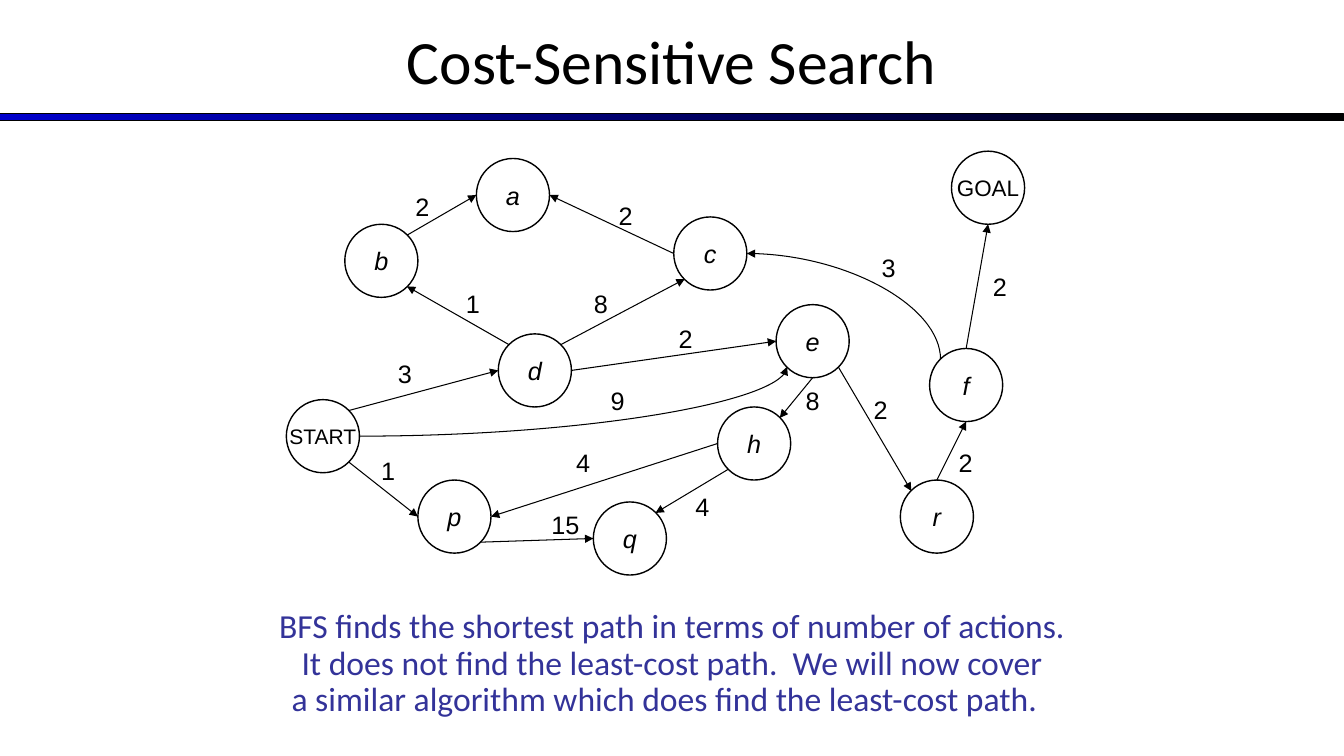
from lxml import etree
from pptx import Presentation
from pptx.dml.color import RGBColor
from pptx.enum.shapes import MSO_CONNECTOR, MSO_SHAPE
from pptx.enum.text import MSO_ANCHOR, PP_ALIGN
from pptx.oxml.ns import qn
from pptx.util import Inches, Pt

STRAIGHT, CURVE = MSO_CONNECTOR.STRAIGHT, MSO_CONNECTOR.CURVE
CIRCLE, RECTANGLE = MSO_SHAPE.FLOWCHART_CONNECTOR, MSO_SHAPE.RECTANGLE
CENTER, LEFT = PP_ALIGN.CENTER, PP_ALIGN.LEFT
MIDDLE, TOP = MSO_ANCHOR.MIDDLE, MSO_ANCHOR.TOP

WIDTH, HEIGHT = 13.33, 7.5
BLACK, BLUE, INDIGO = "000000", "0000CC", "333399"

# The graph lies on a square grid; a node is ten cells wide.
CELL = 0.0725
NODE = 10
GRAPH_LEFT, GRAPH_TOP = 2.84, 1.5

# name: (column, row, text size)
NODES = {
    "START": (0, 34, 15), "GOAL": (91, 0, 16),
    "a": (26, 1, 18), "b": (8, 10, 18), "c": (53, 9, 18), "d": (29, 25, 18),
    "e": (67, 21, 18), "f": (88, 27, 18), "h": (59, 35, 18),
    "p": (18, 45, 18), "q": (42, 48, 18), "r": (84, 45, 18),
}

# Connection sites in preset order, as shares of the node's box
SITES = {
    "top": (0.5, 0), "top left": (0.15, 0.15), "left": (0, 0.5),
    "bottom left": (0.15, 0.85), "bottom": (0.5, 1),
    "bottom right": (0.85, 0.85), "right": (1, 0.5), "top right": (0.85, 0.15),
}
SITE_NAMES = list(SITES)

# from, site, to, site, cost, column and row of the cost
STRAIGHT_EDGES = [
    ("START", "bottom right", "p", "left", "1", 11.6, 41),
    ("START", "top right", "d", "left", "3", 13.9, 27.7),
    ("p", "bottom right", "q", "left", "15", 34.9, 48.3),
    ("h", "bottom left", "q", "top right", "4", 54.6, 45.8),
    ("h", "left", "p", "right", "4", 38.3, 39.9),
    ("e", "bottom", "h", "top right", "8", 69.7, 31.3),
    ("e", "bottom right", "r", "top left", "2", 79, 32.6),
    ("r", "top", "f", "bottom", "2", 90.6, 39.9),
    ("f", "top", "GOAL", "bottom", "2", 95.3, 15.7),
    ("d", "top left", "b", "bottom right", "1", 23.2, 18.1),
    ("d", "top right", "c", "bottom left", "8", 40.7, 18.1),
    ("d", "right", "e", "left", "2", 52.3, 22.9),
    ("b", "top right", "a", "left", "2", 16.3, 4.8),
    ("c", "left", "a", "right", "2", 44.1, 6.1),
]
# The same, then the end that bears the arrowhead
CURVED_EDGES = [
    ("START", "right", "e", "bottom left", "9", 43, 31.3, "tailEnd"),
    ("c", "right", "f", "top left", "3", 80.1, 13.2, "headEnd"),
]
SUMMARY = [
    "BFS finds the shortest path in terms of number of actions.",
    "It does not find the least-cost path.  We will now cover",
    "a similar algorithm which does find the least-cost path.  ",
]


def color(value):
    return RGBColor.from_string(value)


def write(shape, lines, size, font="Arial", ink=BLACK, align=CENTER,
          anchor=MIDDLE, italic=False, wrap=True, spacing=1.0):
    frame = shape.text_frame
    frame.word_wrap = wrap
    frame.vertical_anchor = anchor
    for index, line in enumerate(lines):
        para = frame.add_paragraph() if index else frame.paragraphs[0]
        para.alignment = align
        para.line_spacing = spacing
        span = para.add_run()
        span.text = line
        span.font.name = font
        span.font.size = Pt(size)
        span.font.italic = italic
        span.font.color.rgb = color(ink)


def add_title(page, left, top, width, height):
    title = page.shapes.title
    title.left, title.top = Inches(left), Inches(top)
    title.width, title.height = Inches(width), Inches(height)
    write(title, ["Cost-Sensitive Search"], 44, "Calibri")


def add_rule(page, left, top, width, height):
    """Draw the gradient bar below the title."""
    bar = page.shapes.add_shape(RECTANGLE, Inches(left), Inches(top),
                                Inches(width), Inches(height))
    bar.shadow.inherit = False
    bar.fill.gradient()
    bar.fill.gradient_angle = 0
    for stop, value, place in zip(bar.fill.gradient_stops, (BLUE, BLACK), (0, 1)):
        stop.color.rgb = color(value)
        stop.position = place
    bar.line.color.rgb = color(BLACK)
    bar.line.width = Pt(0.75)


def add_summary(page, left, top, width, height):
    box = page.shapes.add_textbox(Inches(left), Inches(top),
                                  Inches(width), Inches(height))
    write(box, SUMMARY, 24, "Calibri", INDIGO, anchor=TOP, spacing=0.9)


def add_node(page, name, left, top):
    column, row, size = NODES[name]
    node = page.shapes.add_shape(
        CIRCLE, Inches(left + column * CELL), Inches(top + row * CELL),
        Inches(NODE * CELL), Inches(NODE * CELL))
    node.shadow.inherit = False
    node.fill.background()
    node.line.color.rgb = color(BLACK)
    node.line.width = Pt(1)
    write(node, [name], size, italic=len(name) == 1, wrap=False)
    return node


def site_point(node, site):
    across, down = SITES[site]
    return (round(node.left + across * node.width),
            round(node.top + down * node.height))


def add_edge(page, start, start_site, end, end_site, kind, arrow):
    edge = page.shapes.add_connector(
        kind, *site_point(start, start_site), *site_point(end, end_site))
    edge.line.color.rgb = color(BLACK)
    edge.line.width = Pt(0.75)
    etree.SubElement(edge.line._get_or_add_ln(), qn("a:" + arrow), type="triangle")
    properties = edge._element.spPr
    etree.SubElement(properties, qn("a:effectLst"))
    if kind == CURVE:
        properties.find(qn("a:prstGeom")).set("prst", "curvedConnector2")
    glue = edge._element.find(".//" + qn("p:cNvCxnSpPr"))
    for tag, node, site in (("a:stCxn", start, start_site),
                            ("a:endCxn", end, end_site)):
        etree.SubElement(glue, qn(tag), id=str(node.shape_id),
                         idx=str(SITE_NAMES.index(site)))


def add_cost(page, cost, left, top):
    width = 0.17 * (len(cost) + 1)
    box = page.shapes.add_textbox(Inches(left), Inches(top),
                                  Inches(width), Inches(0.4))
    write(box, [cost], 18, align=LEFT, anchor=TOP)


def add_graph(page, left, top):
    nodes = {name: add_node(page, name, left, top) for name in NODES}
    edges = [(*edge, "tailEnd", STRAIGHT) for edge in STRAIGHT_EDGES]
    edges += [(*edge, CURVE) for edge in CURVED_EDGES]
    for start, start_site, end, end_site, cost, column, row, arrow, kind in edges:
        add_edge(page, nodes[start], start_site, nodes[end], end_site, kind, arrow)
        add_cost(page, cost, left + column * CELL, top + row * CELL)


def main():
    deck = Presentation()
    deck.slide_width, deck.slide_height = Inches(WIDTH), Inches(HEIGHT)
    page = deck.slides.add_slide(deck.slide_layouts[5])
    add_rule(page, 0, 1.13, WIDTH, 0.07)
    add_title(page, 0, -0.03, WIDTH, 1.25)
    add_summary(page, 0, 0.8 * HEIGHT, WIDTH, 1.34)
    add_graph(page, GRAPH_LEFT, GRAPH_TOP)
    deck.save("out.pptx")


if __name__ == "__main__":
    main()
